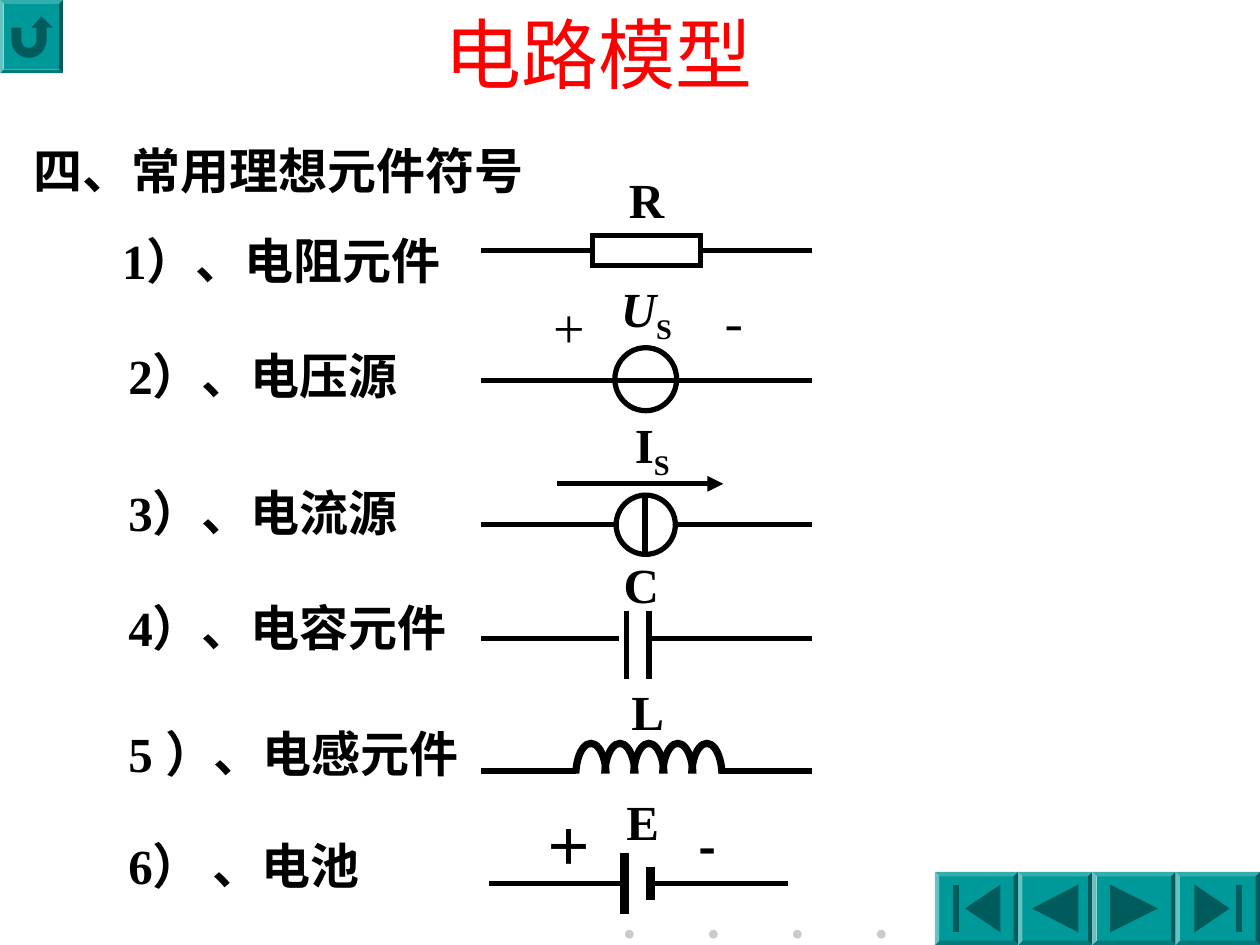
import math
import pptx
import pptx.util
import pptx.dml.color
import pptx.enum.shapes
import pptx.enum.text
import pptx.oxml.ns
import lxml.etree

Inches, Pt = pptx.util.Inches, pptx.util.Pt
SHAPE = pptx.enum.shapes.MSO_SHAPE
LINE = pptx.enum.shapes.MSO_CONNECTOR.STRAIGHT
ALIGN = pptx.enum.text.PP_ALIGN
qn = pptx.oxml.ns.qn
RGB = pptx.dml.color.RGBColor.from_string
COLORS = {"ink": "000000", "title": "FF0000", "paper": "FFFFFF",
          "button": "009999", "icon": "005C5C", "dot": "CBCBCB"}
SERIF, SANS = "Times New Roman", "Noto Sans CJK SC"

prs = pptx.Presentation()
prs.slide_width, prs.slide_height = Inches(10), Inches(7.5)
s = prs.slides.add_slide(prs.slide_layouts[5])


def style(p, size, font=SERIF, color="ink", bold=True, align=ALIGN.LEFT):
    p.alignment = align
    f = p.font
    f.size, f.name, f.bold = Pt(size), font, bold
    f.color.rgb = RGB(COLORS[color])
    props = p._p.pPr.find(qn("a:defRPr"))
    lxml.etree.SubElement(props, qn("a:ea")).set("typeface", SANS)


def paint(sp, fill=None, line=None, width=3):
    if sp.shape_type == pptx.enum.shapes.MSO_SHAPE_TYPE.LINE:
        lxml.etree.SubElement(sp._element.spPr, qn("a:effectLst"))
    else:
        sp.shadow.inherit = False
        if fill:
            sp.fill.solid()
            sp.fill.fore_color.rgb = RGB(COLORS[fill])
        else:
            sp.fill.background()
    if line:
        sp.line.color.rgb = RGB(COLORS[line])
        sp.line.width = Pt(width)
        # Square ends and sharp corners
        ln = sp._element.spPr.find(qn("a:ln"))
        ln.set("cap", "sq")
        lxml.etree.SubElement(ln, qn("a:miter")).set("lim", "800000")
    else:
        sp.line.fill.background()


# Title
title = s.shapes.title
title.left, title.top = Inches(0.5), Inches(-0.02)
title.width, title.height = Inches(8.5), Inches(0.88)
tf = title.text_frame
tf.text = "电路模型"
tf.vertical_anchor = pptx.enum.text.MSO_ANCHOR.MIDDLE
style(tf.paragraphs[0], 44, SANS, "title", False, ALIGN.CENTER)

# Row of dots at the foot
for i in range(4):
    sp = s.shapes.add_shape(SHAPE.OVAL, Inches(4.96 + i * 2 / 3), Inches(7.38),
                            Inches(0.07), Inches(0.07))
    paint(sp, "dot")

# Bevelled navigation buttons
for x, y, w, h in [(0, 0, 0.5, 0.58), (7.42, 6.92, 0.66, 0.58),
                   (8.08, 6.92, 0.59, 0.58), (8.67, 6.92, 0.66, 0.58),
                   (9.33, 6.92, 0.67, 0.58)]:
    sp = s.shapes.add_shape(SHAPE.BEVEL, Inches(x), Inches(y), Inches(w), Inches(h))
    sp.adjustments[0] = 0.06
    paint(sp, "button")

# Button icons: return arrow, then first, previous, next and last
arcs = [[(0.23 + r * math.cos(math.radians(a)), 0.32 + r * math.sin(math.radians(a)))
         for a in range(0, 181, 15)] for r in (0.06, 0.14)]
return_arrow = ([(0.09, 0.22), (0.17, 0.22)] + arcs[0][::-1]
                + [(0.29, 0.22), (0.25, 0.22), (0.33, 0.13), (0.42, 0.22), (0.37, 0.22)]
                + arcs[1])
top, mid, bottom = 7.02, 7.21, 7.4
icons = [return_arrow]
for tip, base in [(7.66, 7.94), (8.19, 8.56), (9.19, 8.81), (9.76, 9.48)]:
    icons.append([(tip, mid), (base, top), (base, bottom)])
for left in (7.56, 9.81):
    icons.append([(left, top), (left + 0.05, top), (left + 0.05, bottom), (left, bottom)])
for points in icons:
    points = [(Inches(x), Inches(y)) for x, y in points]
    fb = s.shapes.build_freeform(*points[0])
    fb.add_line_segments(points[1:])
    paint(fb.convert_to_shape(), "icon")

# Inductor coils, with their lower halves covered
for i in range(5):
    sp = s.shapes.add_shape(SHAPE.OVAL, Inches(4.57 + i * 0.23), Inches(5.9),
                            Inches(0.24), Inches(0.51))
    paint(sp, None, "ink", 4.14)
sp = s.shapes.add_shape(SHAPE.RECTANGLE, Inches(4.42), Inches(6.14), Inches(1.62), Inches(0.46))
paint(sp, "paper")

# Bodies of the other components
bodies = {}
for name, kind, x, y, w, h, fill in [
        ("resistor", SHAPE.RECTANGLE, 4.7, 1.87, 0.86, 0.24, None),
        ("voltage source", SHAPE.OVAL, 4.88, 2.76, 0.49, 0.5, None),
        ("current source", SHAPE.OVAL, 4.89, 3.93, 0.47, 0.47, None),
        ("long plate", SHAPE.RECTANGLE, 4.94, 6.79, 0.03, 0.44, "paper"),
        ("short plate", SHAPE.RECTANGLE, 5.15, 6.9, 0.03, 0.22, "paper")]:
    sp = s.shapes.add_shape(kind, Inches(x), Inches(y), Inches(w), Inches(h))
    paint(sp, fill, "ink")
    bodies[name] = sp

# Wires: from, to, and the body side where a wire starts
LEFT, RIGHT = 3.84, 6.42
for x1, y1, x2, y2, body, side in [
        (4.7, 1.99, LEFT, 1.99, "resistor", 1),
        (5.56, 1.99, RIGHT, 1.99, "resistor", 3),
        (LEFT, 3.02, RIGHT, 3.02, None, None),
        (LEFT, 4.16, 4.88, 4.16, None, None),
        (5.37, 4.16, RIGHT, 4.16, None, None),
        (5.12, 3.94, 5.12, 4.39, None, None),
        (LEFT, 5.07, 4.89, 5.07, None, None),
        (5.15, 5.07, RIGHT, 5.07, None, None),
        (4.97, 4.87, 4.97, 5.37, None, None),
        (5.15, 4.87, 5.15, 5.37, None, None),
        (LEFT, 6.12, 4.55, 6.12, None, None),
        (5.73, 6.12, RIGHT, 6.12, None, None),
        (4.94, 7.01, 3.9, 7.01, "long plate", 1),
        (5.18, 7.01, 6.23, 7.01, "short plate", 3)]:
    c = s.shapes.add_connector(LINE, Inches(x1), Inches(y1), Inches(x2), Inches(y2))
    if body:
        c.begin_connect(bodies[body], side)
    paint(c, None, "ink")

# Current direction arrow
c = s.shapes.add_connector(LINE, Inches(4.44), Inches(3.84), Inches(5.74), Inches(3.84))
paint(c, None, "ink")
ln = c._element.spPr.find(qn("a:ln"))
lxml.etree.SubElement(ln, qn("a:tailEnd")).set("type", "triangle")

# Heading, list and component letters: text, place, width, wrap, alignment
texts = [("四、常用理想元件符号", 0.17, 1.07, 4.08, False, ALIGN.LEFT)]
for text, x, y in [("1）、电阻元件", 0.87, 1.78), ("2）、电压源", 0.92, 2.69),
                   ("3）、电流源", 0.92, 3.78), ("4）、电容元件", 0.92, 4.69),
                   ("5 ）、电感元件", 0.92, 5.69), ("6） 、电池", 0.92, 6.58)]:
    texts.append((text, x, y, 3.11, True, ALIGN.LEFT))
for text, x, y in [("R", 4.89, 1.3), ("C", 4.85, 4.35), ("L", 4.9, 5.36), ("E", 4.86, 6.23)]:
    texts.append((text, x, y, 0.48, False, ALIGN.CENTER))
for text, x, y, w, wrap, align in texts:
    tf = s.shapes.add_textbox(Inches(x), Inches(y), Inches(w), Inches(0.57)).text_frame
    tf.word_wrap = wrap
    tf.text = text
    style(tf.paragraphs[0], 28, align=align)

# Source letters with subscripts
for letter, x, y, italic in [("U", 4.83, 2.16, True), ("I", 4.94, 3.24, False)]:
    tf = s.shapes.add_textbox(Inches(x), Inches(y), Inches(0.9), Inches(0.63)).text_frame
    tf.word_wrap = True
    p = tf.paragraphs[0]
    r = p.add_run()
    r.text, r.font.italic = letter, italic
    r = p.add_run()
    r.text = "S"
    r.font._element.set("baseline", "-25000")
    style(p, 28)

# Polarity signs
for sign, x, y, w, h, inset, size, font, bold in [
        ("+", 4.29, 2.27, 0.45, 0.64, 0.05, 32, SERIF, False),
        ("-", 5.65, 2.24, 0.34, 0.64, 0.05, 32, SANS, False),
        ("＋", 4.32, 6.48, 0.39, 0.47, 0, 28, SANS, True),
        ("-", 5.54, 6.48, 0.14, 0.47, 0, 28, SANS, True)]:
    tf = s.shapes.add_textbox(Inches(x), Inches(y), Inches(w), Inches(h)).text_frame
    tf.word_wrap = False
    tf.margin_left = tf.margin_right = Inches(2 * inset)
    tf.margin_top = tf.margin_bottom = Inches(inset)
    tf.text = sign
    style(tf.paragraphs[0], size, font, "ink", bold, ALIGN.CENTER)

prs.save("out.pptx")
